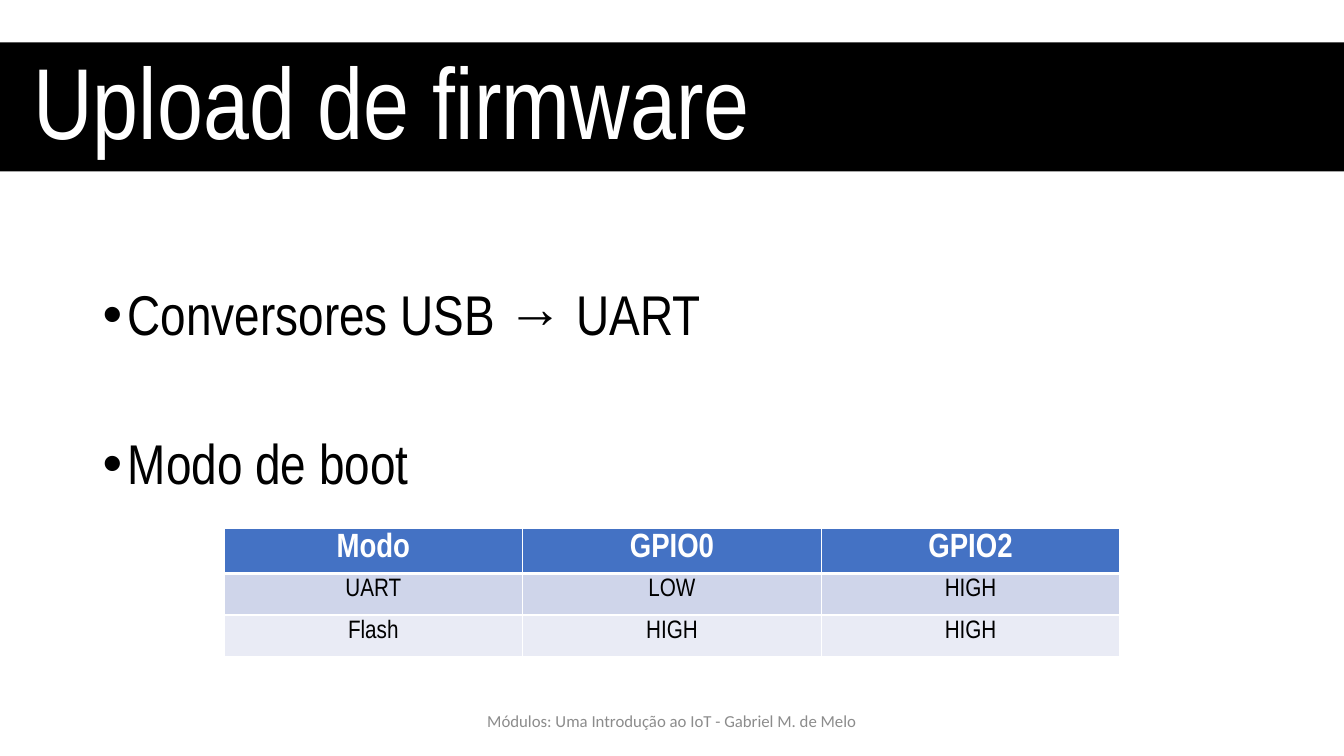
from lxml import etree
from pptx import Presentation
from pptx.dml.color import RGBColor
from pptx.enum.shapes import MSO_SHAPE
from pptx.enum.text import MSO_ANCHOR, PP_ALIGN
from pptx.oxml.ns import qn
from pptx.util import Inches, Pt

TITLE = "Upload de firmware"
TOPICS = ["Conversores USB → UART", "Modo de boot"]
BOOT_MODES = [
    ("Modo", "GPIO0", "GPIO2"),
    ("UART", "LOW", "HIGH"),
    ("Flash", "HIGH", "HIGH"),
]
FOOTER = "Módulos: Uma Introdução ao IoT - Gabriel M. de Melo"

BLACK = RGBColor(0x00, 0x00, 0x00)
WHITE = RGBColor(0xFF, 0xFF, 0xFF)
GRAY = RGBColor(0x8C, 0x8C, 0x8C)
HEADER_BLUE = RGBColor(0x44, 0x72, 0xC4)
ROW_FILLS = [HEADER_BLUE, RGBColor(0xCF, 0xD5, 0xEA), RGBColor(0xE9, 0xEB, 0xF5)]
MAIN_FONT = "Arial Narrow"
FOOTER_FONT = "Calibri"
LEFT, CENTER = PP_ALIGN.LEFT, PP_ALIGN.CENTER
TOP, MIDDLE = MSO_ANCHOR.TOP, MSO_ANCHOR.MIDDLE

WIDTH, HEIGHT = Inches(13.333), Inches(7.5)
TABLE_WIDTH = WIDTH * 2 // 3
ROW_HEIGHT = Inches(0.41)
CELL_MARGIN = Inches(0.05)
BULLET_INDENT = Inches(0.25)
TOPIC_GAP = 63


def write(frame, lines, size, color, font=MAIN_FONT, bold=False, align=LEFT,
          anchor=TOP, line_spacing=1.0, gap=0, bullet=False):
    """Fill a text frame with one paragraph per line, gap points apart."""
    frame.word_wrap = True
    frame.vertical_anchor = anchor
    for index, line in enumerate(lines):
        paragraph = frame.add_paragraph() if index else frame.paragraphs[0]
        paragraph.alignment = align
        paragraph.line_spacing = line_spacing
        paragraph.space_before = Pt(gap if index else 0)
        if bullet:
            properties = paragraph._p.get_or_add_pPr()
            properties.set("marL", str(BULLET_INDENT))
            properties.set("indent", str(-BULLET_INDENT))
            etree.SubElement(properties, qn("a:buFont"), typeface="Arial")
            etree.SubElement(properties, qn("a:buChar"), char="•")
        run = paragraph.add_run()
        run.text = line
        run.font.name = font
        run.font.size = Pt(size)
        run.font.bold = bold
        run.font.color.rgb = color


def add_border(cell, side, points):
    line = etree.SubElement(cell._tc.get_or_add_tcPr(), qn(f"a:ln{side}"), w=str(Pt(points)))
    fill = etree.SubElement(line, qn("a:solidFill"))
    etree.SubElement(fill, qn("a:srgbClr"), val=str(WHITE))


def add_title(slide):
    banner = slide.shapes.add_shape(MSO_SHAPE.RECTANGLE, 0, Inches(0.42), WIDTH, Inches(1.28))
    banner.shadow.inherit = False
    banner.fill.solid()
    banner.fill.fore_color.rgb = BLACK
    banner.line.fill.background()
    banner.text_frame.margin_left = Inches(0.33)
    write(banner.text_frame, [TITLE], 72, WHITE, anchor=MIDDLE, line_spacing=0.9)


def add_table(slide):
    rows, columns = len(BOOT_MODES), len(BOOT_MODES[0])
    table = slide.shapes.add_table(rows, columns, (WIDTH - TABLE_WIDTH) // 2, Inches(5.24),
                                   TABLE_WIDTH, ROW_HEIGHT * rows).table
    for row, values in enumerate(BOOT_MODES):
        header = row == 0
        for column, value in enumerate(values):
            cell = table.cell(row, column)
            cell.margin_top, cell.margin_bottom = CELL_MARGIN, 0
            write(cell.text_frame, [value], 24 if header else 18,
                  WHITE if header else BLACK, bold=header, align=CENTER)
            for side in "LRTB":
                heavy = (header and side == "B") or (row == 1 and side == "T")
                add_border(cell, side, 3 if heavy else 1)
            cell.fill.solid()
            cell.fill.fore_color.rgb = ROW_FILLS[row]


def main():
    presentation = Presentation()
    presentation.slide_width, presentation.slide_height = WIDTH, HEIGHT
    slide = presentation.slides.add_slide(presentation.slide_layouts[6])

    topics = slide.shapes.add_textbox(Inches(0.92), Inches(2.8), Inches(11.5), Inches(2.3))
    write(topics.text_frame, TOPICS, 40, BLACK, line_spacing=0.9, gap=TOPIC_GAP, bullet=True)
    add_title(slide)
    footer_width = Inches(4.5)
    footer = slide.shapes.add_textbox((WIDTH - footer_width) // 2, Inches(6.95),
                                      footer_width, Inches(0.4))
    write(footer.text_frame, [FOOTER], 12, GRAY, font=FOOTER_FONT, align=CENTER, anchor=MIDDLE)
    add_table(slide)
    presentation.save("out.pptx")


if __name__ == "__main__":
    main()
